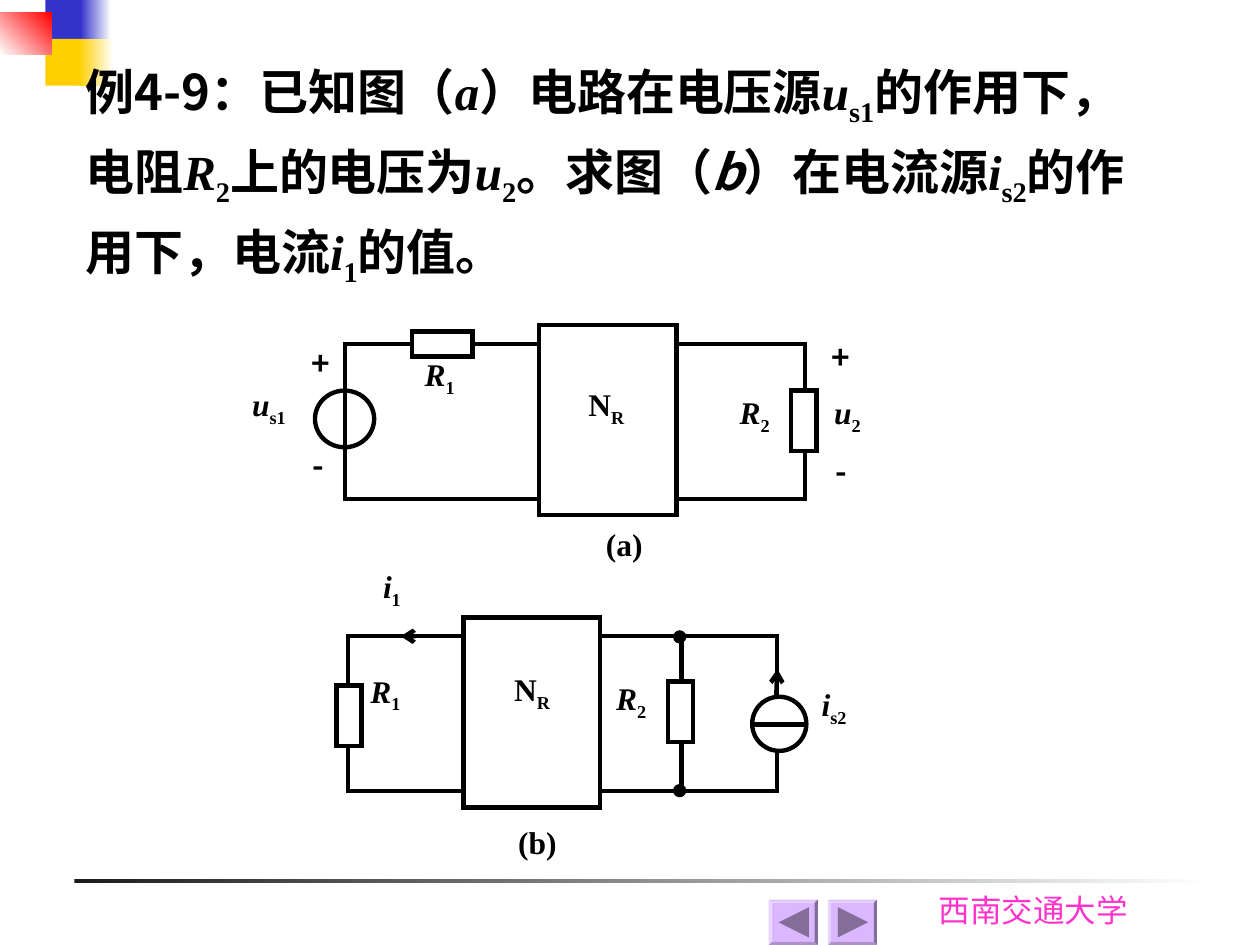
from lxml import etree
from pptx import Presentation
from pptx.dml.color import RGBColor
from pptx.enum.shapes import MSO_CONNECTOR, MSO_SHAPE
from pptx.enum.text import MSO_ANCHOR, PP_ALIGN
from pptx.oxml.ns import qn
from pptx.util import Inches, Pt

RECT, OVAL = MSO_SHAPE.RECTANGLE, MSO_SHAPE.OVAL
BEVEL, TRIANGLE = MSO_SHAPE.BEVEL, MSO_SHAPE.ISOSCELES_TRIANGLE
CENTER, JUSTIFY, LEFT = PP_ALIGN.CENTER, PP_ALIGN.JUSTIFY, PP_ALIGN.LEFT
MIDDLE, TOP = MSO_ANCHOR.MIDDLE, MSO_ANCHOR.TOP
STRAIGHT = MSO_CONNECTOR.STRAIGHT
TIMES, HAN, CABIN = "Times New Roman", "Noto Sans CJK SC", "Cabin"
BLACK, WHITE = "000000", "FFFFFF"
LINE_WIDTH = Pt(2.5)
rgb = RGBColor.from_string

prs = Presentation()
prs.slide_width, prs.slide_height = Inches(10), Inches(7.5)
slide = prs.slides.add_slide(prs.slide_layouts[6])


def add_part(kind, bounds, fill=WHITE, line=BLACK, angle=0):
    """Add a preset shape; a pair of fill colours gives a linear gradient."""
    part = slide.shapes.add_shape(kind, *map(Inches, bounds))
    part.shadow.inherit = False
    if fill is None:
        part.fill.background()
    elif isinstance(fill, tuple):
        part.fill.gradient()
        part.fill.gradient_angle = angle
        for stop, color in zip(part.fill.gradient_stops, fill):
            stop.color.rgb = rgb(color)
    else:
        part.fill.solid()
        part.fill.fore_color.rgb = rgb(fill)
    if line:
        part.line.color.rgb = rgb(line)
        part.line.width = LINE_WIDTH
        etree.SubElement(part.line._get_or_add_ln(), qn("a:miter")).set("lim", "800000")
    else:
        part.line.fill.background()
    return part


def add_text(bounds, runs, size=18, color=BLACK, bold=True, align=JUSTIFY,
             margins=(0, 0), anchor=TOP, spacing=1.0):
    """Add one paragraph; each run is (text, font, "italic", "sub" or "")."""
    box = slide.shapes.add_textbox(*map(Inches, bounds))
    frame = box.text_frame
    frame.word_wrap = True
    frame.vertical_anchor = anchor
    frame.margin_left = frame.margin_right = Inches(margins[0])
    frame.margin_top = frame.margin_bottom = Inches(margins[1])
    paragraph = frame.paragraphs[0]
    paragraph.alignment = align
    paragraph.line_spacing = spacing
    paragraph._p.get_or_add_pPr().set("hangingPunct", "0")
    paragraph.font.size = Pt(size)
    paragraph.font.bold = bold
    paragraph.font.color.rgb = rgb(color)
    for text, font, style in runs:
        run = paragraph.add_run()
        run.text = text
        run.font.name = font
        properties = run._r.get_or_add_rPr()
        etree.SubElement(properties, qn("a:ea")).set("typeface", HAN)
        if style == "italic":
            run.font.italic = True
        elif style == "sub":
            properties.set("baseline", "-25000")


# Footer rule, university name and corner blocks
add_part(RECT, (0.59, 6.98, 9, 0.03), ("1C1C1C", WHITE), None)
add_text((7.35, 7.02, 1.81, 0.4), [("西南交通大学", CABIN, "")], color="FF33CC",
         bold=False, align=LEFT, margins=(0.1, 0.05))
add_part(RECT, (0.36, 0, 0.32, 0.37), "3333CC", None)
add_part(RECT, (0.64, 0, 0.24, 0.37), ("3333CC", WHITE), None)
add_part(RECT, (0.36, 0.31, 0.31, 0.37), "FFCF01", None)
add_part(RECT, (0.63, 0.31, 0.27, 0.37), ("FFCF01", WHITE), None)
add_part(RECT, (0, 0.1, 0.41, 0.33), (WHITE, "FF0000"), None, angle=45)

# Problem statement
problem = [
    ("例4-9：已知图（", HAN, ""), ("a", TIMES, "italic"),
    ("）电路在电压源", HAN, ""), ("u", TIMES, "italic"), ("s1", TIMES, "sub"),
    ("的作用下，电阻", TIMES, ""), ("R", TIMES, "italic"), ("2", TIMES, "sub"),
    ("上的电压为", HAN, ""), ("u", TIMES, "italic"), ("2", TIMES, "sub"),
    ("。求图（", HAN, ""), ("b", HAN, "italic"),
    ("）在电流源", HAN, ""), ("i", TIMES, "italic"), ("s2", TIMES, "sub"),
    ("的作用下", TIMES, ""), ("，电流", HAN, ""),
    ("i", TIMES, "italic"), ("1", TIMES, "sub"), ("的值。", HAN, ""),
]
add_text((0.58, 0.33, 8.78, 2.01), problem, size=28, align=LEFT,
         margins=(0.1, 0.05), anchor=MIDDLE, spacing=1.2)

# Circuit (a): wire loop, network, resistors, voltage source
add_part(RECT, (2.74, 2.73, 3.65, 1.23))
add_part(RECT, (4.28, 2.58, 1.09, 1.51))
add_part(RECT, (3.27, 2.63, 0.48, 0.2))
add_part(RECT, (6.28, 3.1, 0.2, 0.48))
add_part(OVAL, (2.5, 3.1, 0.47, 0.45), None)

# Circuit (b): wire loops, network, resistors, nodes, current source
add_part(RECT, (2.76, 5.05, 2.65, 1.23))
add_part(RECT, (3.68, 4.9, 1.08, 1.51))
add_part(RECT, (2.67, 5.44, 0.2, 0.48))
add_part(RECT, (5.41, 5.05, 0.76, 1.23))
for node_top in (5.02, 6.24):
    add_part(OVAL, (5.36, node_top, 0.07, 0.07), BLACK)
add_part(RECT, (5.3, 5.41, 0.2, 0.48))
add_part(OVAL, (5.97, 5.53, 0.43, 0.43))

for start_x, start_y, end_x, end_y, has_arrow in [
    (5.98, 5.75, 6.41, 5.75, False),
    (6.16, 5.53, 6.17, 5.31, True),
    (3.27, 5.05, 3.18, 5.05, True),
]:
    wire = slide.shapes.add_connector(
        STRAIGHT, *map(Inches, (start_x, start_y, end_x, end_y)))
    wire.line.color.rgb = rgb(BLACK)
    wire.line.width = LINE_WIDTH
    if has_arrow:
        etree.SubElement(wire.line._get_or_add_ln(), qn("a:tailEnd")).set("type", "arrow")
    etree.SubElement(wire._element.spPr, qn("a:effectLst"))

# Quantities and their subscripts
for left, top, width, symbol, subscript in [
    (2, 3.06, 0.58, "u", "s1"), (3.37, 2.82, 0.4, "R", "1"),
    (5.87, 3.12, 0.4, "R", "2"), (6.62, 3.12, 0.4, "u", "2"),
    (4.67, 3.06, 0.47, "N", "R"), (4.08, 5.32, 0.44, "N", "R"),
    (3.04, 4.5, 0.4, "i", "1"), (2.94, 5.33, 0.4, "R", "1"),
    (4.89, 5.39, 0.4, "R", "2"), (6.52, 5.44, 0.58, "i", "s2"),
]:
    symbol_style = "" if symbol == "N" else "italic"
    add_text((left, top, width, 0.74),
             [(symbol, TIMES, symbol_style), (subscript, TIMES, "sub")])

for left, top, sign in [(2.47, 2.73, "+"), (2.48, 3.54, "-"),
                        (6.6, 2.68, "+"), (6.63, 3.59, "-")]:
    add_text((left, top, 0.33, 0.45), [(sign, HAN, "")])

for left, top, caption in [(4.67, 4.16, "(a)"), (3.98, 6.52, "(b)")]:
    add_text((left, top, 0.57, 0.54), [(caption, TIMES, "")],
             align=CENTER, margins=(0.01, 0.01))

# Navigation buttons: raised key with a triangle pointing back or forward
for left, turn in [(6.1, -90), (6.57, 90)]:
    key = add_part(BEVEL, (left, 7.14, 0.39, 0.36), "DBB7FF", None)
    key.adjustments[0] = 0.07
    pointer = add_part(TRIANGLE, (left + 0.08, 7.2, 0.24, 0.24), "846E99", None)
    pointer.rotation = turn

prs.save("out.pptx")
